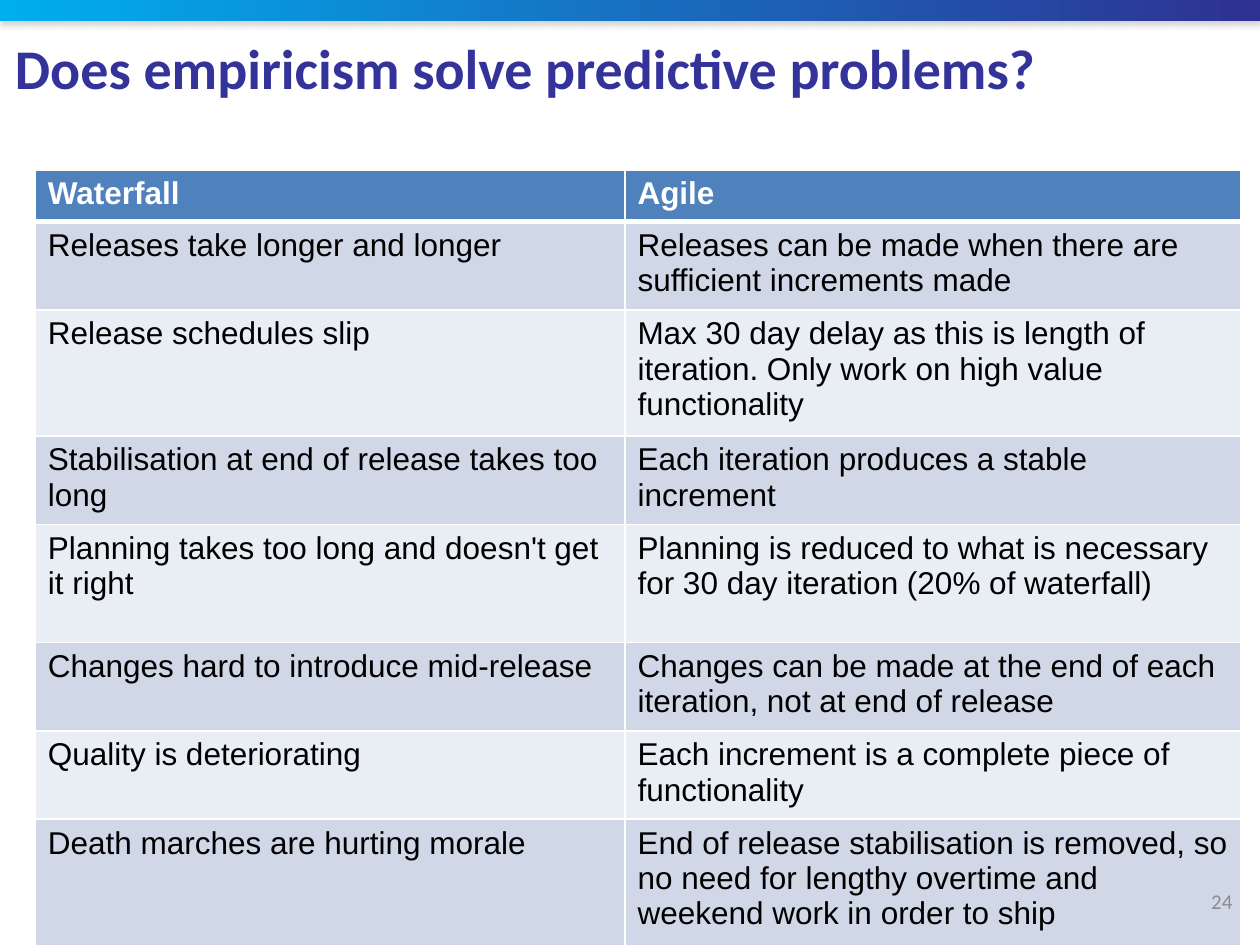
"""Build the slide comparing waterfall problems with agile answers."""
import pptx
import pptx.dml.color
import pptx.enum.shapes
import pptx.enum.text
import pptx.oxml
import pptx.oxml.ns
import pptx.util
from pptx.util import Inches

RGBColor = pptx.dml.color.RGBColor
Align = pptx.enum.text.PP_ALIGN
Anchor = pptx.enum.text.MSO_ANCHOR

SKY = RGBColor(0x00, 0xAE, 0xEF)
INDIGO = RGBColor(0x2E, 0x31, 0x92)
TITLE_BLUE = RGBColor(0x33, 0x33, 0x99)
HEADER_BLUE = RGBColor(0x4F, 0x81, 0xBD)
BANDS = (RGBColor(0xD0, 0xD8, 0xE8), RGBColor(0xE9, 0xED, 0xF4))
WHITE = RGBColor(0xFF, 0xFF, 0xFF)
BLACK = RGBColor(0x00, 0x00, 0x00)
GREY = RGBColor(0x8C, 0x8C, 0x8C)

COLUMN_WIDTHS = (4.68, 4.89)
ROW_HEIGHT = 0.41
PLANNING_ROW, PLANNING_HEIGHT = 4, 0.94
COMPARISON = (
    ("Waterfall", "Agile"),
    ("Releases take longer and longer",
     "Releases can be made when there are sufficient increments made"),
    ("Release schedules slip",
     "Max 30 day delay as this is length of iteration. "
     "Only work on high value functionality"),
    ("Stabilisation at end of release takes too long",
     "Each iteration produces a stable increment"),
    ("Planning takes too long and doesn't get it right",
     "Planning is reduced to what is necessary for 30 day iteration "
     "(20% of waterfall)"),
    ("Changes hard to introduce mid-release",
     "Changes can be made at the end of each iteration, "
     "not at end of release"),
    ("Quality is deteriorating",
     "Each increment is a complete piece of functionality"),
    ("Death marches are hurting morale",
     "End of release stabilisation is removed, so no need for lengthy "
     "overtime and weekend work in order to ship"),
)


def write(frame, text, font, size, color, bold=False, align=Align.LEFT):
    """Put one formatted run into the first paragraph of a text frame."""
    paragraph = frame.paragraphs[0]
    paragraph.alignment = align
    run = paragraph.add_run()
    run.text = text
    run.font.name = font
    run.font.size = pptx.util.Pt(size)
    run.font.bold = bold
    run.font.color.rgb = color


def add_label(slide, left, top, width, height, anchor):
    """Add an empty wrapping text box and return its text frame."""
    frame = slide.shapes.add_textbox(
        Inches(left), Inches(top), Inches(width), Inches(height)).text_frame
    frame.word_wrap = True
    frame.vertical_anchor = anchor
    return frame


def add_banner(slide):
    """Add the shadowed gradient strip along the top edge."""
    banner = slide.shapes.add_shape(
        pptx.enum.shapes.MSO_SHAPE.RECTANGLE, 0, 0, Inches(10), Inches(0.17))
    banner.line.fill.background()
    banner.fill.gradient()
    banner.fill.gradient_angle = 0
    for stop, color, position in zip(
            banner.fill.gradient_stops, (SKY, INDIGO), (0, 1)):
        stop.color.rgb = color
        stop.position = position
    banner.shadow.inherit = False
    effects = banner._element.spPr.find(pptx.oxml.ns.qn("a:effectLst"))
    effects.append(pptx.oxml.parse_xml(
        f'<a:outerShdw {pptx.oxml.ns.nsdecls("a")} blurRad="39370" '
        'dist="22860" dir="5400000" rotWithShape="0"><a:srgbClr val="808080">'
        '<a:alpha val="35000"/></a:srgbClr></a:outerShdw>'))


def set_borders(cell, bottom_width):
    """Draw white cell borders, with the given bottom width in points."""
    properties = cell._tc.get_or_add_tcPr()
    widths = {"lnL": 1, "lnR": 1, "lnT": 1, "lnB": bottom_width}
    for index, (side, width) in enumerate(widths.items()):
        properties.insert(index, pptx.oxml.parse_xml(
            f'<a:{side} {pptx.oxml.ns.nsdecls("a")} '
            f'w="{pptx.util.Pt(width)}"><a:solidFill>'
            f'<a:srgbClr val="{WHITE}"/></a:solidFill></a:{side}>'))


def add_comparison(slide):
    """Add the two-column table with a header and banded rows."""
    holder = slide.shapes.add_table(
        len(COMPARISON), len(COLUMN_WIDTHS), Inches(0.28), Inches(1.35),
        Inches(sum(COLUMN_WIDTHS)), Inches(ROW_HEIGHT * len(COMPARISON)))
    table = holder.table
    for column, width in zip(table.columns, COLUMN_WIDTHS):
        column.width = Inches(width)
    for index, texts in enumerate(COMPARISON):
        header = index == 0
        table.rows[index].height = Inches(
            PLANNING_HEIGHT if index == PLANNING_ROW else ROW_HEIGHT)
        for cell, text in zip(table.rows[index].cells, texts):
            cell.fill.solid()
            cell.fill.fore_color.rgb = (
                HEADER_BLUE if header else BANDS[(index - 1) % 2])
            set_borders(cell, 3 if header else 1)
            write(cell.text_frame, text, "Arial", 18,
                  WHITE if header else BLACK, header)
    holder.height = Inches(5.55)


def main():
    """Assemble and save the slide."""
    presentation = pptx.Presentation()
    presentation.slide_width = Inches(10)
    presentation.slide_height = Inches(7.5)
    slide = presentation.slides.add_slide(presentation.slide_layouts[6])
    add_banner(slide)
    title = add_label(slide, 0.02, 0.21, 9.38, 0.54, Anchor.TOP)
    title.margin_top = Inches(0.06)
    write(title, "Does empiricism solve predictive problems?",
          "Calibri", 32, TITLE_BLUE, True)
    add_comparison(slide)
    number = add_label(slide, 7.17, 6.95, 2.71, 0.4, Anchor.MIDDLE)
    write(number, "24", "Calibri", 12, GREY, align=Align.RIGHT)
    presentation.save("out.pptx")


if __name__ == "__main__":
    main()
